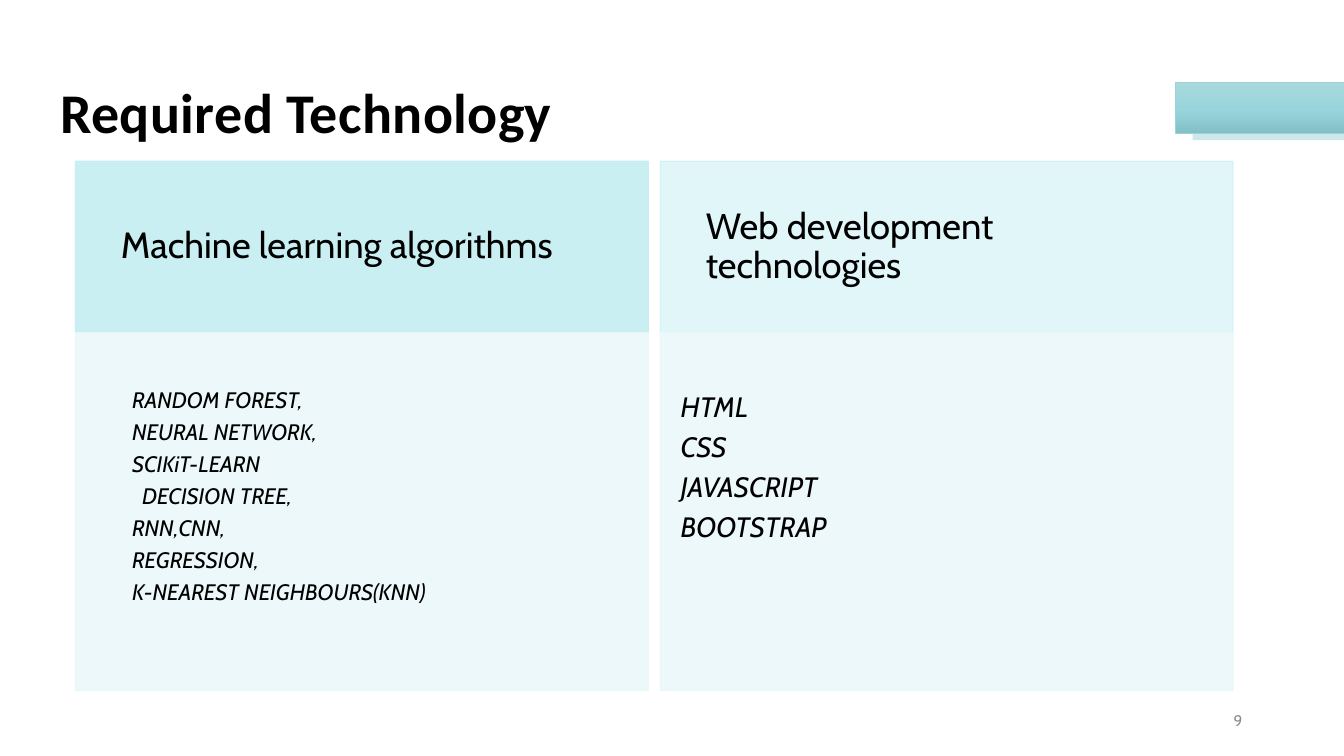
from copy import deepcopy
from dataclasses import dataclass

from lxml.etree import SubElement
from pptx import Presentation
from pptx.dml.color import RGBColor
from pptx.enum.shapes import MSO_SHAPE
from pptx.enum.text import MSO_ANCHOR, PP_ALIGN
from pptx.oxml.ns import qn
from pptx.util import Inches, Pt


@dataclass(frozen=True)
class Theme:
    heading_font: str = "Calibri"
    body_font: str = "Cabin"
    text: str = "000000"
    muted: str = "8C8C8C"
    header: str = "C4EEF2"
    body: str = "EAF8FA"
    accent: str = "9CD3D9"
    accent_stops: tuple = ("A8D9DE", "99D5DC", "84C1C7")
    title_size: int = 40
    header_size: int = 26
    number_size: int = 11


theme = Theme()


def add_box(s, left, top, width, height, color, opacity, outlined=True):
    """Add a rectangle whose fill and outline share a colour and an opacity in percent."""
    sp = s.shapes.add_shape(MSO_SHAPE.RECTANGLE, Inches(left), Inches(top),
                            Inches(width), Inches(height))
    sp.shadow.inherit = False
    fills = [sp.fill]
    if outlined:
        sp.line.width = Pt(1)
        fills.append(sp.line.fill)
    else:
        sp.line.fill.background()
    for fill in fills:
        fill.solid()
        fill.fore_color.rgb = RGBColor.from_string(color)
    for clr in sp._element.spPr.iter(qn("a:srgbClr")):
        SubElement(clr, qn("a:alpha")).set("val", str(opacity * 1000))
    return sp


def set_text(sp, lines, size, font=theme.body_font, color=theme.text, bold=False,
             italic=False, align=PP_ALIGN.LEFT, anchor=MSO_ANCHOR.MIDDLE,
             insets=(0.1, 0.05), line_spacing=0.9, space_after=0, tracking=0):
    """Write one paragraph per line; insets are (sides, top and bottom) in inches."""
    tf = sp.text_frame
    tf.word_wrap = True
    tf.vertical_anchor = anchor
    tf.margin_left = tf.margin_right = Inches(insets[0])
    tf.margin_top = tf.margin_bottom = Inches(insets[1])
    for i, line in enumerate(lines):
        p = tf.paragraphs[0] if i == 0 else tf.add_paragraph()
        p.alignment = align
        p.line_spacing = line_spacing
        p.space_after = Pt(space_after)
        r = p.add_run()
        r.text = line
        r.font.name = font
        r.font.size = Pt(size)
        r.font.bold = bold
        r.font.italic = italic
        r.font.color.rgb = RGBColor.from_string(color)
        if tracking:
            r.font._element.set("spc", str(round(tracking * 100)))


prs = Presentation()
prs.slide_width = Inches(13.33)
prs.slide_height = Inches(7.5)
s = prs.slides.add_slide(prs.slide_layouts[6])

# Ribbon underlay, title and slide number
add_box(s, 11.83, 0.89, 1.5, 0.5, theme.accent, 50, outlined=False)

title = s.shapes.add_textbox(Inches(0.5), Inches(0.42), Inches(12.33), Inches(1.45))
set_text(title, ["Required Technology"], theme.title_size, font=theme.heading_font,
         bold=True, tracking=0.3)

number = s.shapes.add_textbox(Inches(9.42), Inches(6.95), Inches(3), Inches(0.4))
set_text(number, ["9"], theme.number_size, color=theme.muted, align=PP_ALIGN.RIGHT,
         line_spacing=1)

# Two columns: heading, header opacity, items, item size, item insets
columns = [
    ("Machine learning algorithms", 90,
     ["RANDOM FOREST,", "NEURAL NETWORK,", "SCIKiT-LEARN", "DECISION TREE,",
      "RNN,CNN,", "REGRESSION,", "K-NEAREST NEIGHBOURS(KNN)"], 16, (0.56, 0.56)),
    ("Web development technologies", 50,
     ["HTML", "CSS", "JAVASCRIPT", "BOOTSTRAP"], 20, (0.2, 0.6)),
]
column_left, column_width, column_step = 0.75, 5.68, 5.8
header_top, header_height, body_height = 1.6, 1.7, 3.55

for i, (heading, opacity, items, size, insets) in enumerate(columns):
    left = column_left + i * column_step
    header = add_box(s, left, header_top, column_width, header_height,
                     theme.header, opacity)
    set_text(header, [heading], theme.header_size, insets=(0.45, 0.45))
    body = add_box(s, left, header_top + header_height, column_width, body_height,
                   theme.body, 90)
    set_text(body, items, size, italic=True, anchor=MSO_ANCHOR.TOP, insets=insets,
             space_after=0.35 * size)
    for p in body.text_frame.paragraphs:
        if p.text == "DECISION TREE,":
            p._p.get_or_add_pPr().set("marL", str(Inches(0.1)))

# Gradient ribbon at the right edge
ribbon = s.shapes.add_shape(MSO_SHAPE.RECTANGLE, Inches(11.66), Inches(0.82),
                            Inches(1.67), Inches(0.5))
ribbon.shadow.inherit = False
ribbon.line.color.rgb = RGBColor.from_string(theme.accent)
ribbon.line.width = Pt(0.5)
ribbon.fill.gradient()
ribbon.fill.gradient_angle = 270
stop_list = ribbon._element.spPr.find(".//" + qn("a:gsLst"))
stop_list.append(deepcopy(stop_list[-1]))
for i, (stop, color) in enumerate(zip(ribbon.fill.gradient_stops, theme.accent_stops)):
    stop.position = i / 2
    stop.color.rgb = RGBColor.from_string(color)

prs.save("out.pptx")
